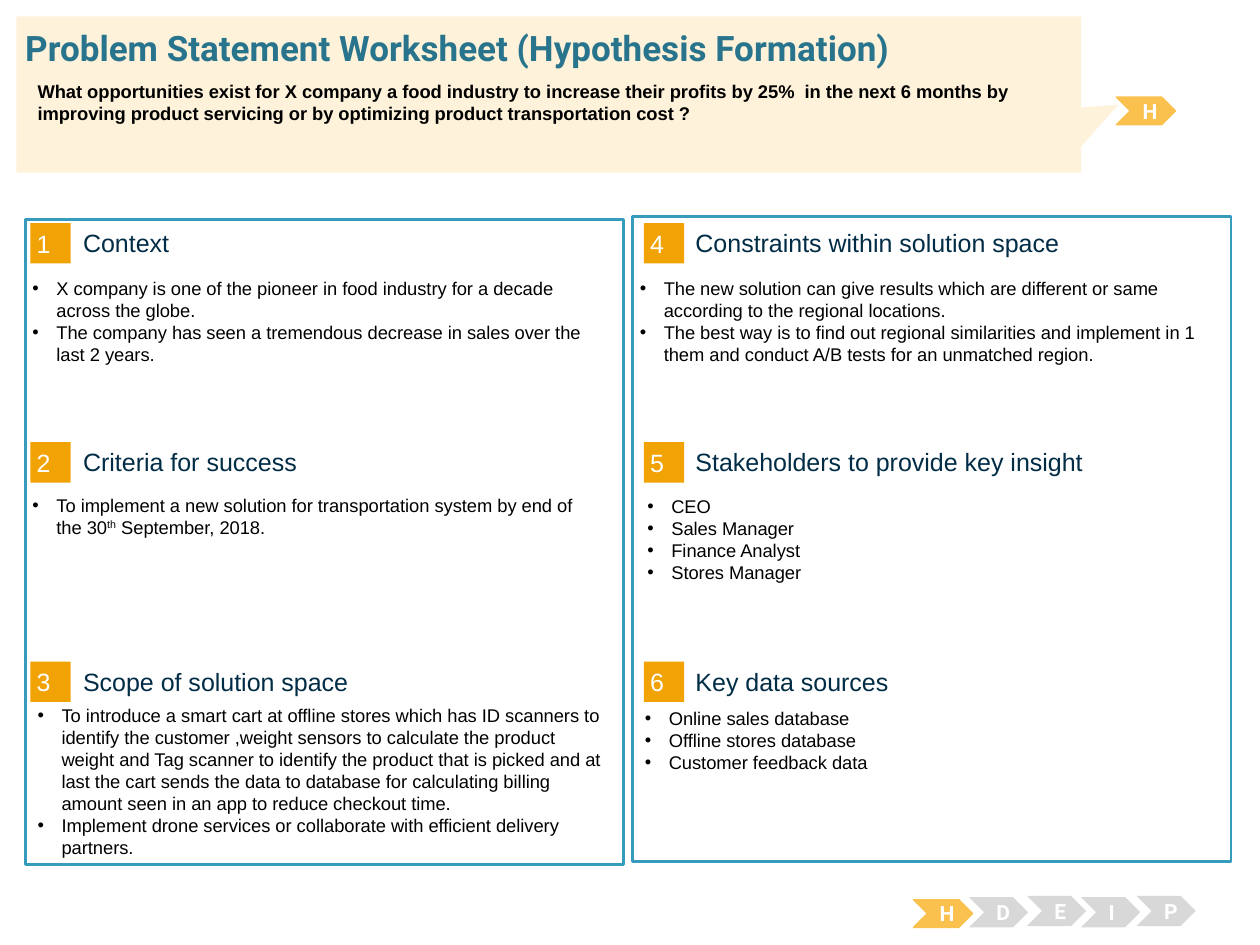
from pptx import Presentation
from pptx.dml.color import RGBColor
from pptx.enum.shapes import MSO_SHAPE
from pptx.enum.text import MSO_ANCHOR, MSO_AUTO_SIZE, PP_ALIGN
from pptx.oxml.ns import qn
from pptx.util import Inches, Pt
from lxml import etree

RECT, CHEVRON = MSO_SHAPE.RECTANGLE, MSO_SHAPE.CHEVRON
CALLOUT = MSO_SHAPE.RECTANGULAR_CALLOUT
TOP, MIDDLE = MSO_ANCHOR.TOP, MSO_ANCHOR.MIDDLE
LEFT, CENTER = PP_ALIGN.LEFT, PP_ALIGN.CENTER

TITLE = "Problem Statement Worksheet (Hypothesis Formation)"
QUESTION = [
    "What opportunities exist for X company a food industry to increase their "
    "profits by 25%  in the next 6 months by",
    "improving product servicing or by optimizing product transportation cost ?",
]
# Heading, body box (left, top, width, height), bullets; a tuple holds runs,
# every second one raised
SECTIONS = [
    ("Context", (0.16, 2.15, 4.73, 1.36), [
        "X company is one of the pioneer in food industry for a decade across the globe.",
        "The company has seen a tremendous decrease in sales over the last 2 years."]),
    ("Criteria for success", (0.16, 3.87, 4.73, 1.54), [
        ("To implement a new solution for transportation system by end of the 30",
         "th", " September, 2018.")]),
    ("Scope of solution space", (0.2, 5.54, 4.68, 1.07), [
        "To introduce a smart cart at offline stores which has ID scanners to identify "
        "the customer ,weight sensors to calculate the product weight and Tag scanner to "
        "identify the product that is picked and at last the cart sends the data to "
        "database for calculating billing amount seen in an app to reduce checkout time.",
        "Implement drone services or collaborate with efficient delivery partners."]),
    ("Constraints within solution space", (4.98, 2.15, 4.73, 1.18), [
        "The new solution can give results which are different or same according to "
        "the regional locations.",
        "The best way is to find out regional similarities and implement in 1 them and "
        "conduct A/B tests for an unmatched region."]),
    ("Stakeholders to provide key insight", (5.04, 3.88, 4.73, 1.18), [
        "CEO", "Sales Manager", "Finance Analyst", "Stores Manager"]),
    ("Key data sources", (5.02, 5.56, 4.73, 1.18), [
        "Online sales database", "Offline stores database", "Customer feedback data"]),
]
PANELS = [(0.2, 1.74), (5.02, 1.72)]
BADGE_LEFTS, HEADING_LEFTS = (0.24, 5.11), (0.66, 5.52)
FIRST_ROW, ROW_STEP, ROWS = 1.77, 1.74, 3
# Letter, left, top, height, active
STAGES = [
    ("H", 7.25, 7.14, 0.22, True), ("D", 7.69, 7.12, 0.24, False),
    ("E", 8.15, 7.11, 0.24, False), ("I", 8.58, 7.12, 0.24, False),
    ("P", 9.02, 7.11, 0.24, False), ("H", 8.86, 0.77, 0.22, True),
]
WIDE_MARGINS = (0.1, 0.05)

HEADING = {"size": Pt(14.3), "name": "Arial", "bold": False}
BODY = {"size": Pt(10.5), "name": "Arial", "bold": False}
STAGE = {"size": Pt(12), "name": "Roboto", "bold": True}
HEADLINE = {"size": Pt(20), "name": "Roboto", "bold": True}


def rgb(value):
    """Turn a hex string into a colour."""
    return RGBColor.from_string(value)


def inches(box):
    """Convert a sequence of numbers to lengths."""
    return [Inches(length) for length in box]


def write(shape, paragraphs, look, color, margins=(0, 0), anchor=TOP,
          align=LEFT, bullets=False):
    """Fill a shape with formatted paragraphs."""
    frame = shape.text_frame
    side, edge = inches(margins)
    settings = {"word_wrap": True, "auto_size": MSO_AUTO_SIZE.NONE,
                "vertical_anchor": anchor, "margin_left": side,
                "margin_right": side, "margin_top": edge, "margin_bottom": edge}
    for key, value in settings.items():
        setattr(frame, key, value)
    for index, content in enumerate(paragraphs):
        paragraph = frame.paragraphs[0] if index == 0 else frame.add_paragraph()
        paragraph.alignment = align
        if bullets:
            add_bullet(paragraph)
        runs = (content,) if isinstance(content, str) else content
        for position, words in enumerate(runs):
            run = paragraph.add_run()
            run.text = words
            for key, value in look.items():
                setattr(run.font, key, value)
            run.font.color.rgb = rgb(color)
            if position % 2:
                run.font._element.set("baseline", "30000")


def add_bullet(paragraph):
    """Give a paragraph a hanging round bullet."""
    properties = paragraph._p.get_or_add_pPr()
    properties.set("marL", str(Inches(0.19)))
    properties.set("indent", str(-Inches(0.19)))
    bullet_color = etree.SubElement(properties, qn("a:buClr"))
    etree.SubElement(bullet_color, qn("a:srgbClr"), val="000000")
    etree.SubElement(properties, qn("a:buFont"), typeface="Arial")
    etree.SubElement(properties, qn("a:buChar"), char="•")


def add_block(kind, box, fill, line=None, weight=0.75):
    """Add a filled preset shape without a shadow."""
    block = slide.shapes.add_shape(kind, *inches(box))
    block.shadow.inherit = False
    block.fill.solid()
    block.fill.fore_color.rgb = rgb(fill)
    if line:
        block.line.color.rgb = rgb(line)
        block.line.width = Pt(weight)
    else:
        block.line.fill.background()
    return block


def add_text(box, paragraphs, look, color, **options):
    """Add a text box."""
    write(slide.shapes.add_textbox(*inches(box)), paragraphs, look, color, **options)


def add_section(index, heading, body_box, bullets):
    """Add a numbered badge, its heading and its bullets."""
    column, row = divmod(index, ROWS)
    top = FIRST_ROW + row * ROW_STEP
    badge = add_block(RECT, (BADGE_LEFTS[column], top, 0.32, 0.32), "F1A205")
    write(badge, [str(index + 1)], HEADING, "FFFFFF", margins=(0.05, 0.05), anchor=MIDDLE)
    add_text((HEADING_LEFTS[column], top + 0.03, 3.93, 0.25), [heading],
             HEADING, "002C46", anchor=MIDDLE)
    add_text(body_box, bullets, BODY, "000000", margins=WIDE_MARGINS, bullets=True)


prs = Presentation()
prs.slide_width, prs.slide_height = Inches(10), Inches(7.5)
slide = prs.slides.add_slide(prs.slide_layouts[5])

for left, top in PANELS:
    add_block(RECT, (left, top, 4.75, 5.12), "FFFFFF", "379BBD", 1.5)
for index, section in enumerate(SECTIONS):
    add_section(index, *section)

for letter, left, top, height, active in STAGES:
    fill = "FBC14E" if active else "D8D8D8"
    chevron = add_block(CHEVRON, (left, top, 0.47, height), fill, fill if active else None)
    write(chevron, [letter], STAGE, "FFFFFF", margins=WIDE_MARGINS,
          anchor=MIDDLE, align=CENTER)

callout = add_block(CALLOUT, (0.13, 0.13, 8.45, 1.24), "FEF2DA")
callout.adjustments[0], callout.adjustments[1] = 0.535, 0.066

title = slide.shapes.title
title.left, title.top, title.width, title.height = inches((0.2, 0.21, 9.62, 0.34))
write(title, [TITLE], HEADLINE, "29748D", anchor=MIDDLE)
slide.shapes._spTree.append(title._element)  # bring the title in front of the callout

add_text((0.2, 0.59, 9.39, 0.54), QUESTION, {**BODY, "bold": True}, "000000",
         margins=WIDE_MARGINS)

prs.save("out.pptx")
